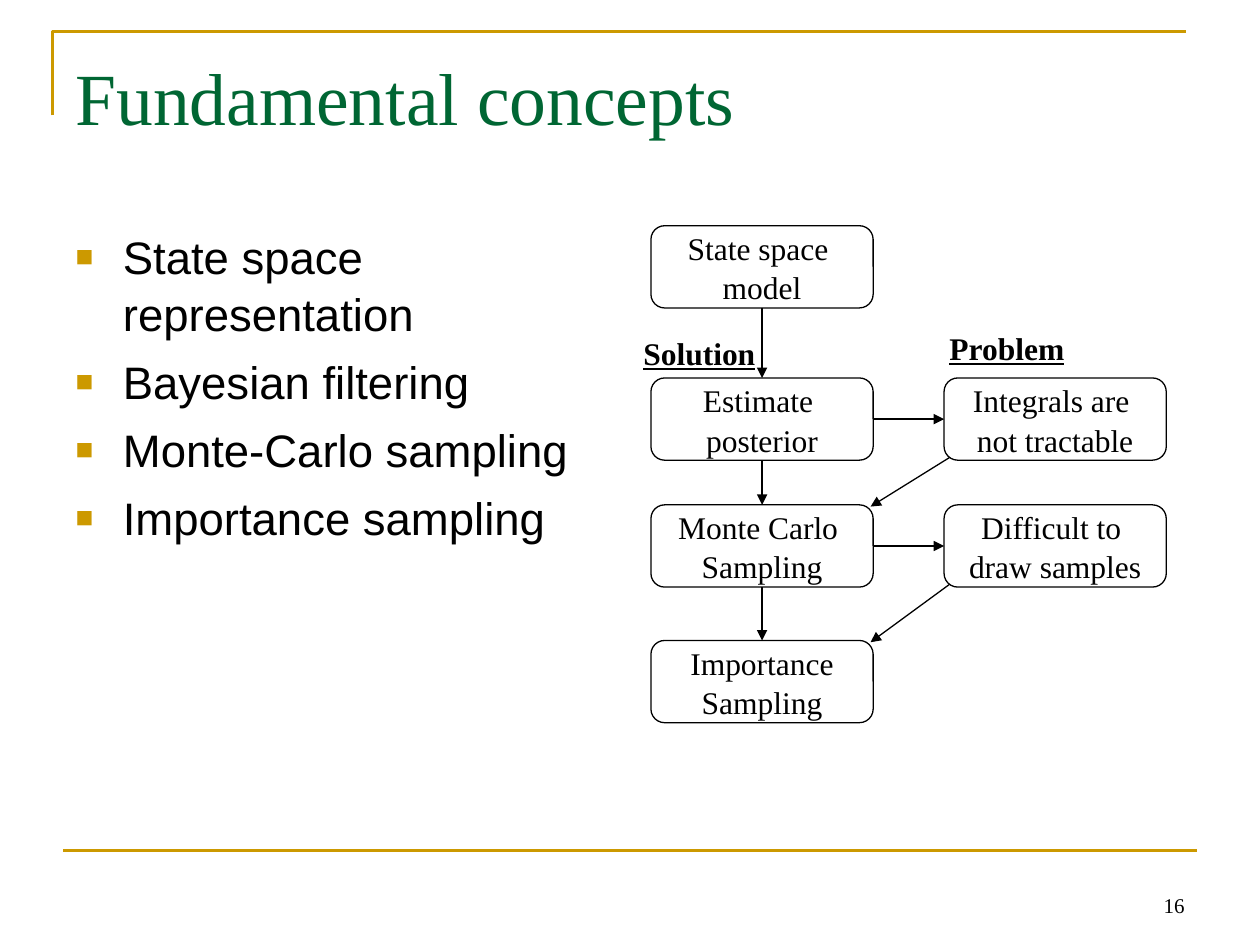
"""Build the slide on fundamental concepts of sampling-based filtering."""
from dataclasses import dataclass
from lxml.etree import SubElement
from pptx import Presentation
from pptx.dml.color import RGBColor
from pptx.enum.shapes import MSO_CONNECTOR, MSO_SHAPE
from pptx.enum.text import MSO_ANCHOR, MSO_AUTO_SIZE, PP_ALIGN
from pptx.oxml.ns import qn
from pptx.util import Pt


@dataclass(frozen=True)
class Theme:
    serif: str = "Times New Roman"
    sans: str = "Arial"
    gold: str = "CC9900"
    green: str = "006633"
    black: str = "000000"
    title_size: int = 42
    list_size: int = 26
    diagram_size: int = 18
    number_size: int = 12
    rule_width: float = 1.5
    diagram_width: float = 0.74
    line_spacing: float = 1.04


theme = Theme()


def write(frame, lines, size, font=theme.serif, color=theme.black, align=PP_ALIGN.LEFT, emphasis=False):
    for index, line in enumerate(lines):
        paragraph = frame.paragraphs[0] if index == 0 else frame.add_paragraph()
        paragraph.alignment = align
        paragraph.line_spacing = theme.line_spacing
        paragraph.space_before = Pt(0)
        run = paragraph.add_run()
        run.text = line
        run.font.size = Pt(size)
        run.font.name = font
        run.font.color.rgb = RGBColor.from_string(color)
        run.font.bold = emphasis
        run.font.underline = emphasis


def connect(start, end, color, width, arrow=False):
    connector = slide.shapes.add_connector(
        MSO_CONNECTOR.STRAIGHT, Pt(start[0]), Pt(start[1]), Pt(end[0]), Pt(end[1]))
    connector.line.color.rgb = RGBColor.from_string(color)
    connector.line.width = Pt(width)
    if arrow:
        SubElement(connector.line._get_or_add_ln(), qn("a:tailEnd"), type="triangle")
    SubElement(connector._element.spPr, qn("a:effectLst"))


presentation = Presentation()
presentation.slide_width, presentation.slide_height = Pt(720), Pt(540)
slide = presentation.slides.add_slide(presentation.slide_layouts[1])

builder = slide.shapes.build_freeform(Pt(30), Pt(66))
builder.add_line_segments([(Pt(30), Pt(18)), (Pt(678), Pt(18))], close=False)
corner_rule = builder.convert_to_shape()
corner_rule.shadow.inherit = False
corner_rule.fill.background()
corner_rule.line.color.rgb = RGBColor.from_string(theme.gold)
corner_rule.line.width = Pt(theme.rule_width)
connect((36, 486), (684, 486), theme.gold, theme.rule_width)

number_box = slide.shapes.add_textbox(Pt(516), Pt(492), Pt(168), Pt(36))
number_box.text_frame.word_wrap = True
number_box.text_frame.vertical_anchor = MSO_ANCHOR.BOTTOM
write(number_box.text_frame, ["16"], theme.number_size, align=PP_ALIGN.RIGHT)

title, body = slide.shapes.title, slide.placeholders[1]
for placeholder, top, width, height in ((title, 21.6, 648, 90), (body, 126, 342, 356.4)):
    placeholder.left, placeholder.top = Pt(36), Pt(top)
    placeholder.width, placeholder.height = Pt(width), Pt(height)
    placeholder.text_frame.auto_size = MSO_AUTO_SIZE.NONE
    placeholder.text_frame.vertical_anchor = MSO_ANCHOR.TOP
title.text_frame.margin_top = Pt(6)
write(title.text_frame, ["Fundamental concepts"], theme.title_size, color=theme.green)

concepts = ["State space representation", "Bayesian filtering",
            "Monte-Carlo sampling", "Importance sampling"]
write(body.text_frame, concepts, theme.list_size, theme.sans)
for paragraph in body.text_frame.paragraphs:
    paragraph.space_before = Pt(6.5)
    properties = paragraph._p.get_or_add_pPr()
    properties.set("marL", str(Pt(27)))
    properties.set("indent", str(Pt(-27)))
    bullet_color = SubElement(properties, qn("a:buClr"))
    SubElement(bullet_color, qn("a:srgbClr"), val=theme.gold)
    SubElement(properties, qn("a:buSzPct"), val="65000")
    SubElement(properties, qn("a:buFont"), typeface=theme.sans)
    SubElement(properties, qn("a:buChar"), char="■")

solution_left, problem_left = 372, 539.5
box_width, box_height = 127, 47
row_tops = [129, 216, 288.5, 366]
solutions = [("State space ", "model"), ("Estimate ", "posterior"),
             ("Monte Carlo ", "Sampling"), ("Importance", "Sampling")]
problems = [("Integrals are ", "not tractable"), ("Difficult to ", "draw samples")]
boxes = [(solution_left, top, lines) for top, lines in zip(row_tops, solutions)]
boxes += [(problem_left, top, lines) for top, lines in zip(row_tops[1:], problems)]

for left, top, lines in boxes:
    box = slide.shapes.add_shape(
        MSO_SHAPE.ROUNDED_RECTANGLE, Pt(left), Pt(top), Pt(box_width), Pt(box_height))
    box.shadow.inherit = False
    box.fill.background()
    box.line.color.rgb = RGBColor.from_string(theme.black)
    box.line.width = Pt(theme.diagram_width)
    box.text_frame.word_wrap = False
    box.text_frame.vertical_anchor = MSO_ANCHOR.MIDDLE
    write(box.text_frame, lines, theme.diagram_size, align=PP_ALIGN.CENTER)

for heading, left, top, width in (("Solution", 360.5, 186.5, 78.5), ("Problem", 535.5, 183.5, 80)):
    heading_box = slide.shapes.add_textbox(Pt(left), Pt(top), Pt(width), Pt(29))
    heading_box.text_frame.word_wrap = False
    write(heading_box.text_frame, [heading], theme.diagram_size, emphasis=True)

solution_right = solution_left + box_width
solution_center = solution_left + box_width / 2
arrows = [((solution_center, upper + box_height), (solution_center, lower))
          for upper, lower in zip(row_tops, row_tops[1:])]
for top, next_top in zip(row_tops[1:], row_tops[2:]):
    middle = top + box_height / 2
    arrows.append(((solution_right, middle), (problem_left, middle)))
    arrows.append(((problem_left + 3, top + box_height - 1.5), (solution_right - 1.5, next_top + 1)))
for start, end in arrows:
    connect(start, end, theme.black, theme.diagram_width, arrow=True)

presentation.save("out.pptx")
